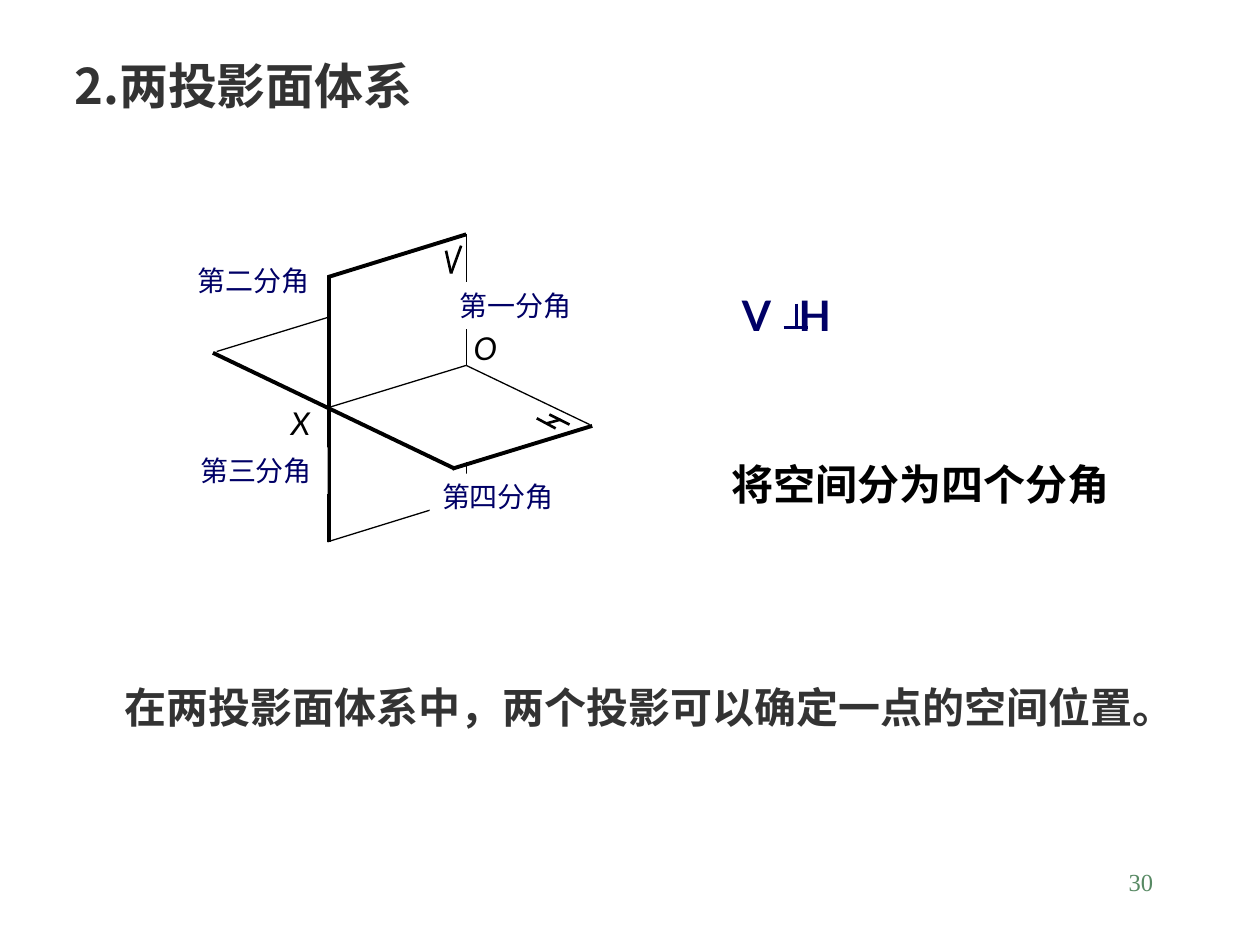
"""Build the slide on the system of two projection planes."""
from pptx import Presentation
from pptx.dml.color import RGBColor
from pptx.enum.shapes import MSO_CONNECTOR as CONNECTOR, MSO_SHAPE as SHAPE
from pptx.enum.text import MSO_ANCHOR as ANCHOR, MSO_AUTO_SIZE as AUTO_SIZE, PP_ALIGN as ALIGN
from pptx.oxml.xmlchemy import OxmlElement
from pptx.util import Inches, Pt

COLORS = {"ink": "000000", "navy": "000066", "gray": "333333", "green": "578963", "paper": "FFFFFF"}
SANS, LATIN, SERIF = "Noto Sans CJK SC", "Lato", "Times New Roman"


def write(shape, text, size, font, color, bold=False, italic=False, align=ALIGN.LEFT,
          anchor=ANCHOR.TOP, tab=None):
    frame = shape.text_frame
    frame.word_wrap = True
    frame.auto_size = AUTO_SIZE.NONE
    frame.vertical_anchor = anchor
    paragraph = frame.paragraphs[0]
    paragraph.alignment = align
    if tab:
        stops = OxmlElement("a:tabLst")
        stop = OxmlElement("a:tab")
        stop.set("pos", str(Inches(tab)))
        stop.set("algn", "l")
        stops.append(stop)
        paragraph._p.get_or_add_pPr().append(stops)
    run = paragraph.add_run()
    run.text = text
    run.font.size, run.font.name = Pt(size), font
    run.font.bold, run.font.italic = bold, italic
    run.font.color.rgb = RGBColor.from_string(COLORS[color])
    east_asian = OxmlElement("a:ea")
    east_asian.set("typeface", SANS)
    run.font._element.find(
        "{http://schemas.openxmlformats.org/drawingml/2006/main}latin").addnext(east_asian)


def draw_line(start, end, width, color="ink"):
    line = slide.shapes.add_connector(CONNECTOR.STRAIGHT, *map(Inches, start + end))
    line.line.width = Pt(width)
    line.line.color.rgb = RGBColor.from_string(COLORS[color])
    line._element.spPr.append(OxmlElement("a:effectLst"))


prs = Presentation()
prs.slide_width, prs.slide_height = Inches(10), Inches(7.5)
slide = prs.slides.add_slide(prs.slide_layouts[5])

heading = slide.shapes.title
heading.left, heading.top, heading.width, heading.height = map(Inches, (0.49, 0.39, 7.72, 0.71))
write(heading, "2.两投影面体系", 28, SANS, "gray", bold=True)

THICK, MEDIUM, THIN = 2.25, 1.5, 0.75
plane_edges = [
    ((2.61, 2.19), (2.61, 4.3), THICK),
    ((2.6, 4.3), (3.7, 3.96), THIN),
    ((2.59, 3.24), (3.7, 2.9), THIN),
    ((2.6, 2.2), (3.7, 1.86), THICK),
    ((1.69, 2.8), (3.61, 3.72), THICK),
    ((1.72, 2.79), (2.6, 2.52), THIN),
    ((3.59, 3.72), (4.7, 3.38), THICK),
    ((3.7, 1.86), (3.7, 2.9), THIN),
    ((3.7, 2.9), (4.68, 3.37), THIN),
    ((3.7, 3.67), (3.7, 3.96), THIN),
]
v_strokes = [((3.54, 1.99), (3.58, 2.17)), ((3.58, 2.17), (3.66, 1.95))]
h_strokes = [((4.26, 3.32), (4.41, 3.4)), ((4.34, 3.36), (4.45, 3.33)), ((4.36, 3.29), (4.52, 3.37))]
perpendicular_sign = [((6.32, 2.41), (6.32, 2.59)), ((6.22, 2.6), (6.41, 2.6))]

for start, end, width in plane_edges:
    draw_line(start, end, width)
for start, end in v_strokes + h_strokes:
    draw_line(start, end, MEDIUM)
for start, end in perpendicular_sign:
    draw_line(start, end, MEDIUM, "navy")

quadrants = [("第二分角", 1.47, 2.04), ("第三分角", 1.49, 3.55),
             ("第四分角", 3.41, 3.76), ("第一分角", 3.55, 2.24)]
for name, left, top in quadrants:
    quadrant = slide.shapes.add_shape(SHAPE.RECTANGLE, *map(Inches, (left, top, 1.11, 0.37)))
    quadrant.shadow.inherit = False
    quadrant.fill.solid()
    quadrant.fill.fore_color.rgb = RGBColor.from_string(COLORS["paper"])
    quadrant.line.fill.background()
    write(quadrant, name, 16, SERIF, "navy")

texts = [
    ("O", (3.66, 2.56, 0.35, 0.43), dict(size=18, font=LATIN, color="ink", italic=True)),
    ("X", (2.21, 3.16, 0.37, 0.43), dict(size=18, font=LATIN, color="ink", italic=True)),
    ("V\tH", (5.79, 2.25, 0.97, 0.5), dict(size=24, font=LATIN, color="navy", bold=True, tab=0.45)),
    ("将空间分为四个分角", (5.71, 3.59, 3.22, 0.5), dict(size=24, font=SANS, color="ink", bold=True)),
    ("在两投影面体系中，两个投影可以确定一点的空间位置。", (0.89, 5.36, 8.62, 0.5),
     dict(size=24, font=SANS, color="gray", bold=True, anchor=ANCHOR.MIDDLE)),
    ("30", (7.17, 6.83, 2.08, 0.5), dict(size=14, font=SERIF, color="green", align=ALIGN.RIGHT)),
]
for text, place, style in texts:
    write(slide.shapes.add_textbox(*map(Inches, place)), text, **style)

prs.save("out.pptx")
